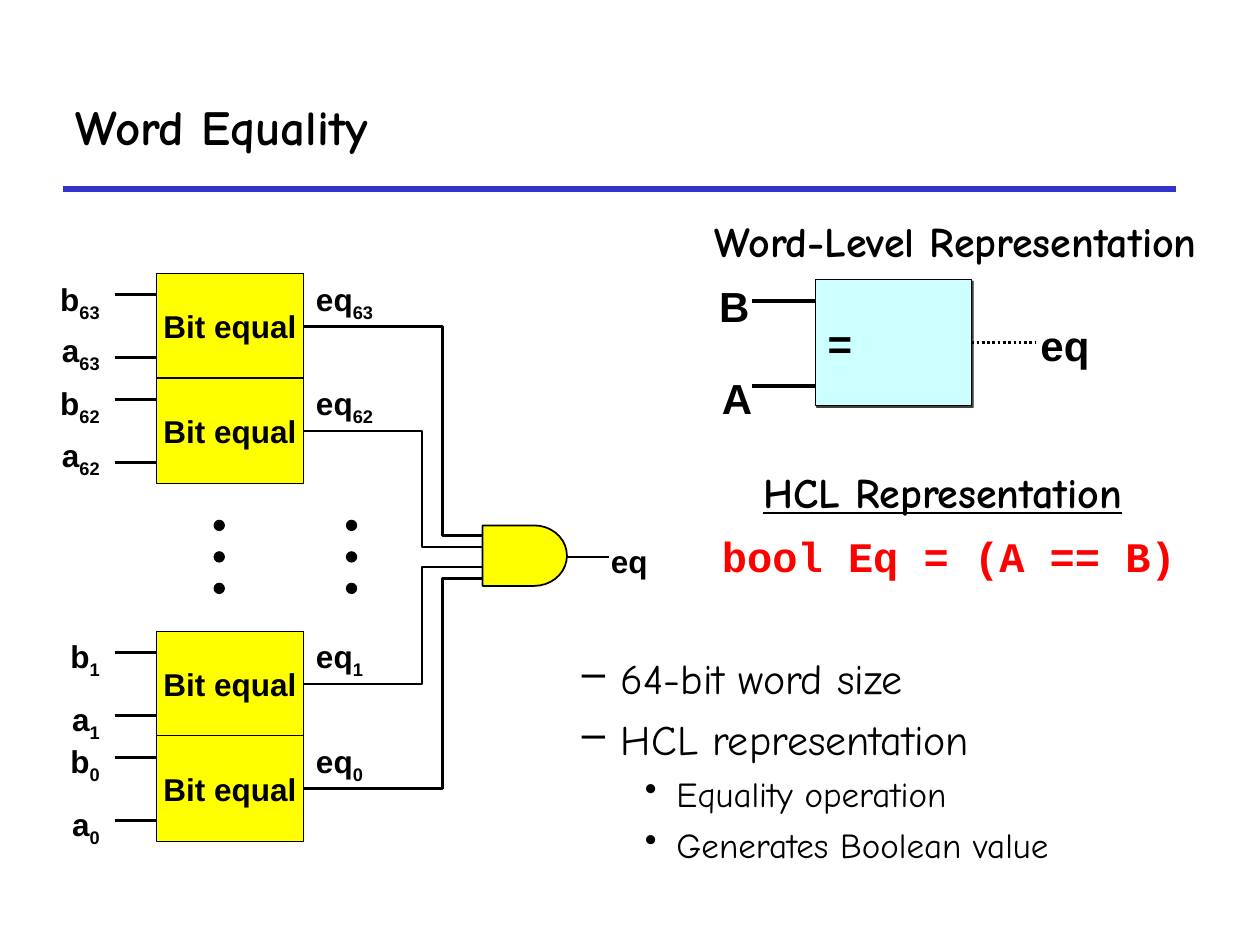
import math
from dataclasses import dataclass

import pptx
import pptx.dml.color
import pptx.enum.dml
import pptx.enum.shapes
import pptx.enum.text
import pptx.oxml
import pptx.oxml.ns
import pptx.util
from pptx.util import Inches

HUES = {"ink": "000000", "rule": "3333CC", "bit": "FFFF00",
        "word": "CCFFFF", "code": "FF0000"}
SANS, HAND, MONO = "Arial", "Comic Neue", "Courier New"
ALIGN = pptx.enum.text.PP_ALIGN
KIND = pptx.enum.shapes.MSO_SHAPE
MID = pptx.enum.text.MSO_ANCHOR.MIDDLE


@dataclass
class Label:
    text: str
    x: float
    y: float
    w: float
    h: float = 0.51
    size: float = 24
    face: str = SANS
    hue: str = "ink"
    sub: str = ""
    pad: float = 0.1
    right: bool = False
    wrap: bool = False
    under: bool = False


@dataclass
class Bit:
    index: str
    top: float
    drop: float   # from the b label down to the a label
    turn: float   # x where the output wire bends
    pin: float    # y where the wire meets the gate


@dataclass
class Item:
    text: str
    mark: str
    size: float
    left: float
    hang: float
    gap: float


BITS = [
    Bit("63", 2.17, 0.41, 3.51, 4.25),
    Bit("62", 3.0, 0.41, 3.35, 4.34),
    Bit("1", 5.01, 0.5, 3.35, 4.5),
    Bit("0", 5.84, 0.5, 3.51, 4.59),
]
LABELS = [
    Label("B", 5.61, 2.18, 0.45),
    Label("A", 5.63, 2.91, 0.45),
    Label("eq", 8.16, 2.49, 0.6),
    Label("Word-Level Representation", 5.62, 1.66, 3.98, face=HAND, pad=0.05),
    Label("HCL Representation", 6.01, 3.65, 2.97, face=HAND, pad=0.05,
          under=True),
    Label("bool Eq = (A == B)", 5.68, 4.16, 3.71, face=MONO, hue="code",
          pad=0.05),
    Label("eq", 4.75, 4.25, 0.66, 0.41, 18, wrap=True),
]
ITEMS = [
    Item("64-bit word size", "–", 24, 0.81, 0.31, 0),
    Item("HCL representation", "–", 24, 0.81, 0.31, 6),
    Item("Equality operation", "•", 20, 1.25, 0.25, 5),
    Item("Generates Boolean value", "•", 20, 1.25, 0.25, 5),
]


def rgb(hue: str):
    return pptx.dml.color.RGBColor.from_string(HUES[hue])


def style(font, size: float, face: str, hue: str = "ink", bold: bool = True):
    font.size, font.name, font.bold = pptx.util.Pt(size), face, bold
    font.color.rgb = rgb(hue)


def inset(frame, side: float):
    frame.margin_left = frame.margin_right = Inches(side)
    frame.margin_top = frame.margin_bottom = Inches(0.05)


def wire(shapes, x1: float, y1: float, x2: float, y2: float,
         width: float = 1.5, hue: str = "ink"):
    line = shapes.add_connector(pptx.enum.shapes.MSO_CONNECTOR.STRAIGHT,
                                Inches(x1), Inches(y1), Inches(x2), Inches(y2))
    line.line.width, line.line.color.rgb = pptx.util.Pt(width), rgb(hue)
    pptx.oxml.ns.qn("a:effectLst")
    line._element.spPr.append(pptx.oxml.parse_xml(
        f'<a:effectLst {pptx.oxml.ns.nsdecls("a")}/>'))
    return line


def paint(shape, fill: str, width: float):
    """Set fill and outline; an empty fill means none."""
    shape.shadow.inherit = False
    if fill:
        shape.fill.solid()
        shape.fill.fore_color.rgb = rgb(fill)
    else:
        shape.fill.background()
    shape.line.color.rgb = rgb("ink")
    shape.line.width = pptx.util.Pt(width)


def block(shapes, kind, x: float, y: float, w: float, h: float, fill: str):
    shape = shapes.add_shape(kind, Inches(x), Inches(y), Inches(w), Inches(h))
    paint(shape, fill, 0.75)
    return shape


def trace(shapes, points: list, fill: str = "", width: float = 1.5):
    """Draw an outline through points; a filled one is closed."""
    spots = [(Inches(x), Inches(y)) for x, y in points]
    pen = shapes.build_freeform(*spots[0])
    pen.add_line_segments(spots[1:], close=bool(fill))
    paint(pen.convert_to_shape(), fill, width)


def write(shapes, label: Label):
    box = shapes.add_textbox(Inches(label.x), Inches(label.y),
                             Inches(label.w), Inches(label.h))
    frame = box.text_frame
    inset(frame, label.pad)
    frame.word_wrap = label.wrap
    frame.auto_size = pptx.enum.text.MSO_AUTO_SIZE.SHAPE_TO_FIT_TEXT
    frame.text = label.text
    para = frame.paragraphs[0]
    para.alignment = ALIGN.RIGHT if label.right else ALIGN.LEFT
    if label.sub:
        para.add_run().text = label.sub
        para.runs[1].font._element.set("baseline", "-25000")
    for run in para.runs:
        style(run.font, label.size, label.face, label.hue)
        if label.under:
            run.font.underline = True


def caption(shape, text: str, size: float, side: float, align):
    frame = shape.text_frame
    inset(frame, side)
    frame.vertical_anchor = MID
    frame.text = text
    frame.paragraphs[0].alignment = align
    style(frame.paragraphs[0].runs[0].font, size, SANS)


def cell(shapes, bit: Bit):
    """Draw one bit comparer with its inputs, output and names."""
    wide = 0.52 if len(bit.index) > 1 else 0.44
    mid = bit.top + 0.42
    trace(shapes, [(2.41, mid), (bit.turn, mid),
                   (bit.turn, bit.pin), (3.83, bit.pin)])
    box = block(shapes, KIND.RECTANGLE, 1.24, bit.top, 1.17, 0.84, "bit")
    caption(box, "Bit equal", 18, 0, ALIGN.CENTER)
    box.text_frame.word_wrap = False
    for name, down, pin in (("b", 0, 0.17), ("a", bit.drop, 0.67)):
        wire(shapes, 0.91, bit.top + pin, 1.24, bit.top + pin)
        write(shapes, Label(name, 0.89 - wide, bit.top + down, wide, 0.45, 18,
                            sub=bit.index, right=True))
    write(shapes, Label("eq", 2.41, bit.top, 0.83, 0.45, 18,
                        sub=bit.index, wrap=True))


def gate(shapes):
    """Draw the AND gate: flat left side, rounded right side."""
    turns = [math.radians(a) for a in range(-90, 91, 10)]
    curve = [(4.24 + 0.26 * math.cos(t), 4.41 + 0.24 * math.sin(t))
             for t in turns]
    trace(shapes, [(3.83, 4.65), (3.83, 4.17)] + curve, "bit", 1)
    wire(shapes, 4.5, 4.42, 4.83, 4.42)


def word(shapes):
    """Draw the word-level comparer."""
    box = block(shapes, KIND.RECTANGLE, 6.47, 2.22, 1.24, 1, "word")
    box._element.spPr.find(pptx.oxml.ns.qn("a:effectLst")).append(
        pptx.oxml.parse_xml(
            f'<a:outerShdw {pptx.oxml.ns.nsdecls("a")} dist="17780" '
            'dir="2700000"><a:srgbClr val="000000"><a:alpha val="75000"/>'
            '</a:srgbClr></a:outerShdw>'))
    caption(box, "=", 24, 0.1, ALIGN.LEFT)
    for y in (2.39, 3.06):
        wire(shapes, 5.97, y, 6.47, y, 2.25)
    out = wire(shapes, 7.71, 2.72, 8.22, 2.72)
    out.line.dash_style = pptx.enum.dml.MSO_LINE.ROUND_DOT
    out.begin_connect(box, 3)


def notes(shapes):
    frame = shapes.add_textbox(Inches(4.02), Inches(5.13),
                               Inches(5.23), Inches(2.12)).text_frame
    frame.word_wrap = True
    for i, item in enumerate(ITEMS):
        para = frame.add_paragraph() if i else frame.paragraphs[0]
        para.text = item.text
        props = para._p.get_or_add_pPr()
        props.set("marL", str(Inches(item.left)))
        props.set("indent", str(-Inches(item.hang)))
        props.append(pptx.oxml.parse_xml(
            f'<a:buChar {pptx.oxml.ns.nsdecls("a")} char="{item.mark}"/>'))
        para.space_before = pptx.util.Pt(item.gap)
        style(para.runs[0].font, item.size, HAND, bold=False)


def main():
    deck = pptx.Presentation()
    deck.slide_width, deck.slide_height = Inches(10), Inches(7.5)
    slide = deck.slides.add_slide(deck.slide_layouts[5])
    shapes = slide.shapes
    title = shapes.title
    title.left, title.top = Inches(0.5), Inches(0.5)
    title.width, title.height = Inches(8.83), Inches(1)
    caption(title, "Word Equality", 28, 0.1, ALIGN.LEFT)
    title.text_frame.paragraphs[0].runs[0].font.name = HAND
    wire(shapes, 0.5, 1.5, 9.33, 1.5, 3, "rule")
    notes(shapes)
    word(shapes)
    for bit in BITS:
        cell(shapes, bit)
    for x in (1.7, 2.75):
        for i in range(3):
            block(shapes, KIND.OVAL, x, 4.13 + 0.25 * i, 0.08, 0.08, "ink")
    gate(shapes)
    for label in LABELS:
        write(shapes, label)
    deck.save("out.pptx")


if __name__ == "__main__":
    main()
